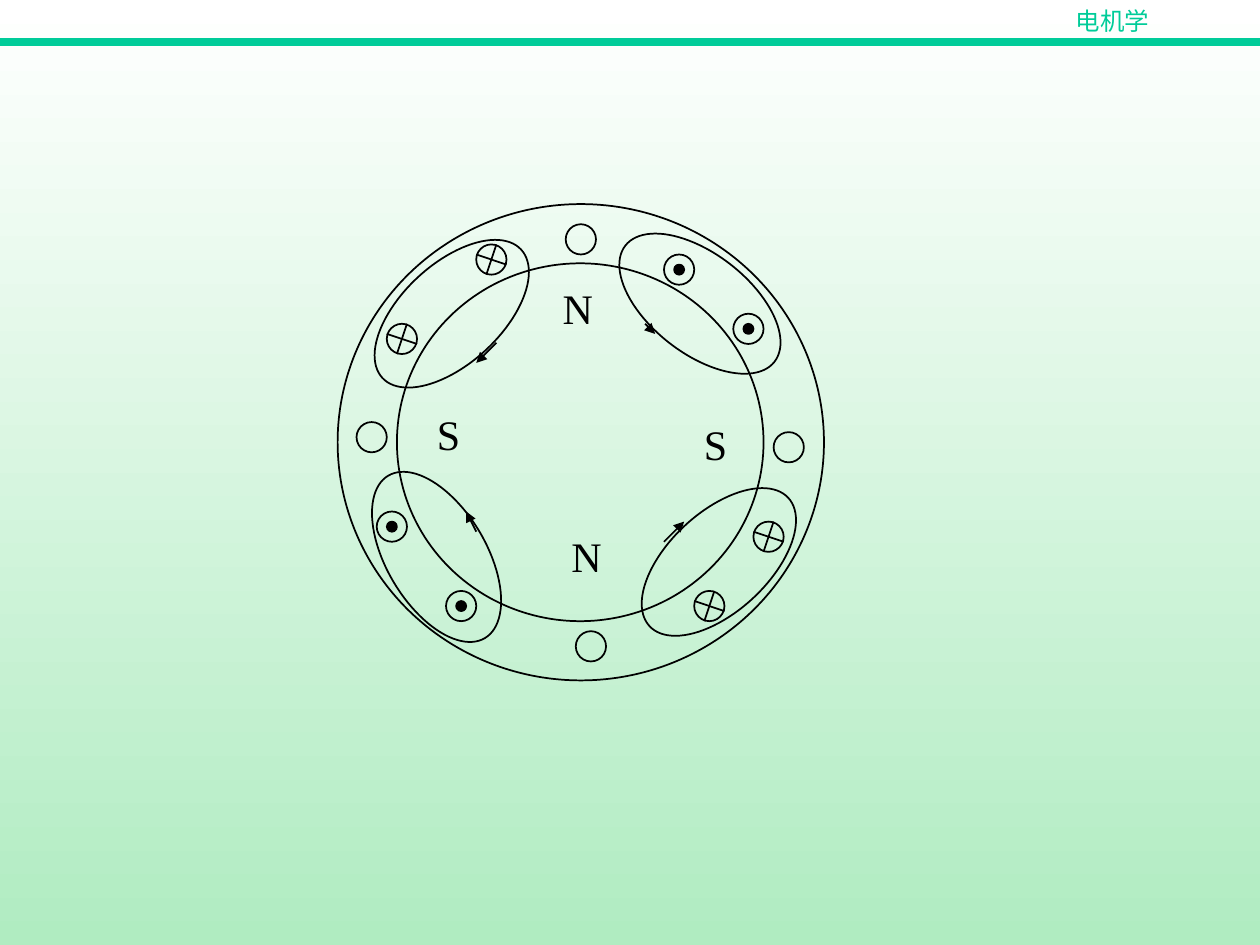
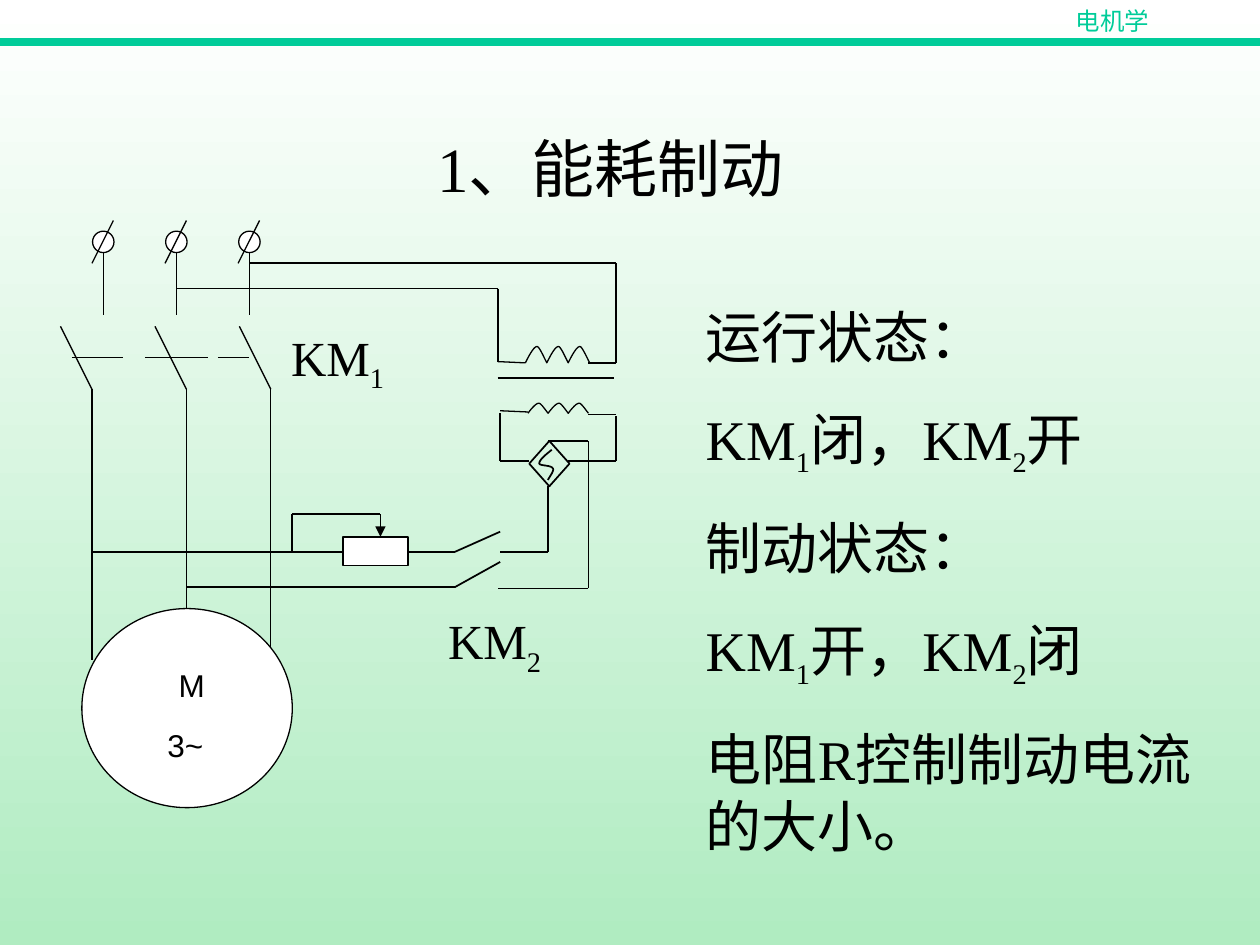
"""Build two electrical machines slides: a four-pole field and a dynamic braking circuit."""
from itertools import pairwise

from lxml.etree import SubElement
from pptx import Presentation
from pptx.dml.color import RGBColor
from pptx.enum.shapes import MSO_CONNECTOR as Connector, MSO_SHAPE as Shape
from pptx.enum.text import MSO_ANCHOR as Anchor, MSO_AUTO_SIZE as AutoSize, PP_ALIGN as Align
from pptx.oxml.ns import qn
from pptx.util import Cm, Pt

COLOURS = {"ink": "000000", "paper": "FFFFFF", "accent": "00CC99", "mint": "B0ECC1"}
SERIF, SANS = "Times New Roman", "Arial"
THIN, MEDIUM, BAND = 0.75, 1, 4.5
CM_PER_UNIT = 2.54
SUBSCRIPT = "-25000"

HEADER = "电机学"
TITLE = "1、能耗制动"
NORMAL, SUB = 32, 28
BODY = [
    [("运行状态：", NORMAL)],
    [("KM", NORMAL), ("1", SUB), ("闭，KM", NORMAL), ("2", SUB), ("开", NORMAL)],
    [("制动状态：", NORMAL)],
    [("KM", NORMAL), ("1", SUB), ("开，KM", NORMAL), ("2", SUB), ("闭", NORMAL)],
    [("电阻R控制制动电流的大小。", NORMAL)],
]

STATOR_RINGS = [(2.68, 1.62, 3.86, 3.78), (3.15, 2.09, 2.91, 2.84)]
SLOT, DOT = 0.24, 0.08
SLOT_CENTRES = {
    "empty": [(4.61, 1.9), (6.26, 3.55), (4.69, 5.13), (2.95, 3.47)],
    "cross": [(3.9, 2.06), (3.19, 2.69), (6.1, 4.26), (5.63, 4.81)],
    "dot": [(5.39, 2.14), (5.94, 2.61), (3.11, 4.18), (3.66, 4.81)],
}
LOOP_SIZE = (0.79, 1.5)
FLUX_LOOPS = [
    ((3.19, 1.74), 47.2, [(3.94, 2.72), (3.78, 2.88)]),
    ((5.31, 3.71), 47.2, [(5.27, 4.3), (5.43, 4.14)]),
    ((3.07, 3.67), 149.2, [(3.78, 4.22), (3.7, 4.06)]),
    ((5.16, 1.66), 127.9, [(5.12, 2.57), (5.2, 2.65)]),
]
POLES = [
    ("N", (3.94, 2.25, 0.79, 0.38)),
    ("N", (4.01, 4.22, 0.79, 0.38)),
    ("S", (2.68, 3.19, 1.26, 0.5)),
    ("S", (4.8, 3.27, 1.26, 0.5)),
]

TERMINAL = 0.17
PHASES = [(0.82, 0.73, 5.24), (1.4, 1.48, 4.99), (1.98, 2.15, 5.16)]
SWITCH_BARS = [(0.57, 0.98), (1.15, 1.65), (1.73, 1.98)]
MOTOR = (0.65, 4.83, 1.67, 1.58)
MOTOR_LABELS = [("M", (1.32, 5.24, 0.67, 0.4)), ("3~", (1.23, 5.71, 0.51, 0.4))]
CONTACTORS = [("1", (1.65, 2.55, 1.56, 0.63)), ("2", (2.85, 4.8, 1.65, 0.63))]
COILS = [(4.17, 2.88, 0.13, 0.17), (4.19, 3.28, 0.08, 0.16)]
COIL_LEADS = [
    [(4.67, 2.88), (4.89, 2.88)], [(4.17, 2.88), (3.95, 2.87)],
    [(4.67, 3.29), (4.89, 3.29)], [(4.19, 3.27), (3.97, 3.26)],
]
HUMP = [(0, 0), (0.06, 0.15), (0.36, 1), (0.54, 1), (0.64, 1), (0.82, 0.46), (1, 0)]
RECTIFIER = (4.2, 3.5, 0.32, 0.36)
RECTIFIER_MARK = [
    (4.38, 3.57), (4.33, 3.61), (4.28, 3.65), (4.28, 3.68), (4.29, 3.7),
    (4.38, 3.69), (4.39, 3.72), (4.4, 3.74), (4.35, 3.8), (4.35, 3.81),
]
RESISTOR = (2.72, 4.26, 0.52, 0.23)
RESISTOR_TAP = [(2.32, 4.38), (2.32, 4.08), (3.02, 4.08), (3.02, 4.26)]
WIRES = [
    [(3.95, 3), (4.87, 3)],
    [(1.98, 2.09), (4.89, 2.09), (4.89, 2.88)],
    [(1.4, 2.29), (3.95, 2.29), (3.95, 2.87)],
    [(3.97, 3.28), (3.97, 3.66), (4.2, 3.66)],
    [(4.51, 3.66), (4.89, 3.66), (4.89, 3.3)],
    [(4.35, 3.5), (4.67, 3.5), (4.67, 4.67), (3.95, 4.67)],
    [(4.35, 3.86), (4.35, 4.38), (3.97, 4.38)],
    [(0.73, 4.38), (3.61, 4.38), (3.97, 4.22)],
    [(1.48, 4.66), (3.61, 4.66), (3.97, 4.46)],
]


def length(units):
    return Cm(units * CM_PER_UNIT)


def colour(name):
    return RGBColor.from_string(COLOURS[name])


def outline(shape, width, fill=None):
    shape.shadow.inherit = False
    shape.line.color.rgb = colour("ink")
    shape.line.width = Pt(width)
    if fill:
        shape.fill.solid()
        shape.fill.fore_color.rgb = colour(fill)
    else:
        shape.fill.background()


def add_outlined(slide, kind, box, width=MEDIUM, fill=None, rotation=0):
    shape = slide.shapes.add_shape(kind, *map(length, box))
    outline(shape, width, fill)
    shape.rotation = rotation


def add_circle(slide, centre, diameter, width=MEDIUM, fill=None):
    x, y = centre
    radius = diameter / 2
    add_outlined(slide, Shape.OVAL, (x - radius, y - radius, diameter, diameter), width, fill)


def add_wire(slide, points, width=MEDIUM, ink="ink", arrow=False):
    for start, end in pairwise(points):
        line = slide.shapes.add_connector(Connector.STRAIGHT, *map(length, start + end))
        line.line.color.rgb = colour(ink)
        line.line.width = Pt(width)
        if arrow and end == points[-1]:
            SubElement(line.line._get_or_add_ln(), qn("a:tailEnd"), type="triangle")
        SubElement(line._element.spPr, qn("a:effectLst"))


def add_curve(slide, points, width, steps=8):
    outline_points = [points[0]]
    for first in range(0, len(points) - 1, 3):
        segment = points[first:first + 4]
        for step in range(1, steps + 1):
            t = step / steps
            weights = ((1 - t) ** 3, 3 * t * (1 - t) ** 2, 3 * t * t * (1 - t), t ** 3)
            outline_points.append(tuple(
                sum(weight * point[axis] for weight, point in zip(weights, segment))
                for axis in (0, 1)))
    vertices = [(length(x), length(y)) for x, y in outline_points]
    builder = slide.shapes.build_freeform(*vertices[0])
    builder.add_line_segments(vertices[1:], close=False)
    outline(builder.convert_to_shape(), width)


def write(shape, paragraphs, font=SERIF, ink="ink", align=Align.LEFT, anchor=Anchor.TOP,
          indent=0.5, space=0, margins=(0.1, 0.05)):
    frame = shape.text_frame
    frame.word_wrap = True
    frame.auto_size = AutoSize.NONE
    frame.vertical_anchor = anchor
    frame.margin_left = frame.margin_right = length(margins[0])
    frame.margin_top = frame.margin_bottom = length(margins[1])
    for index, runs in enumerate(paragraphs):
        paragraph = frame.add_paragraph() if index else frame.paragraphs[0]
        paragraph.alignment = align
        paragraph.space_before = Pt(space if index else 0)
        properties = paragraph._p.get_or_add_pPr()
        properties.set("marL", str(length(indent)))
        properties.set("indent", "0")
        SubElement(properties, qn("a:buNone"))
        for text, size, *baseline in runs:
            run = paragraph.add_run()
            run.text = text
            run.font.size = Pt(size)
            run.font.name = font
            run.font.color.rgb = colour(ink)
            if baseline:
                run._r.get_or_add_rPr().set("baseline", baseline[0])


def add_label(slide, box, runs, **style):
    write(slide.shapes.add_textbox(*map(length, box)), [runs], **style)


def fill_placeholder(shape, box, paragraphs, **style):
    shape.left, shape.top, shape.width, shape.height = map(length, box)
    write(shape, paragraphs, **style)


def set_background(master):
    fill = master.background.fill
    fill.gradient()
    fill.gradient_angle = 270
    for stop, name, position in zip(fill.gradient_stops, ("paper", "mint"), (0, 1)):
        stop.color.rgb = colour(name)
        stop.position = position


def new_slide(presentation, layout_name):
    slide = presentation.slides.add_slide(presentation.slide_layouts.get_by_name(layout_name))
    add_wire(slide, [(0, 0.33), (10, 0.33)], BAND, "accent")
    add_label(slide, (8.08, 0, 1.5, 0.34), [(HEADER, 14)], ink="accent",
              align=Align.CENTER, indent=0)
    return slide


def build_field_slide(presentation):
    slide = new_slide(presentation, "Blank")
    for box in STATOR_RINGS:
        add_outlined(slide, Shape.OVAL, box)
    for kind, centres in SLOT_CENTRES.items():
        for x, y in centres:
            add_circle(slide, (x, y), SLOT)
            if kind == "dot":
                add_circle(slide, (x, y), DOT, fill="ink")
            elif kind == "cross":
                for dx, dy in ((SLOT / 2, SLOT / 6), (-SLOT / 6, SLOT / 2)):
                    add_wire(slide, [(x - dx, y - dy), (x + dx, y + dy)])
    for corner, rotation, direction in FLUX_LOOPS:
        add_outlined(slide, Shape.OVAL, corner + LOOP_SIZE, rotation=rotation)
        add_wire(slide, direction, arrow=True)
    for pole, box in POLES:
        add_label(slide, box, [(pole, 24)], align=Align.CENTER, anchor=Anchor.MIDDLE,
                  margins=(0, 0))


def draw_supply(slide):
    for x, switch_x, end_y in PHASES:
        add_circle(slide, (x, 1.92), TERMINAL, THIN, "paper")
        add_wire(slide, [(x + 0.08, 1.75), (x - 0.09, 2.09)], THIN)
        add_wire(slide, [(x, 2), (x, 2.5)], THIN)
        add_wire(slide, [(switch_x - 0.25, 2.59), (switch_x, 3.09), (switch_x, end_y)], THIN)
    for left, right in SWITCH_BARS:
        add_wire(slide, [(left, 2.84), (right, 2.84)], THIN)
    add_outlined(slide, Shape.OVAL, MOTOR, THIN, "paper")
    for text, box in MOTOR_LABELS:
        add_label(slide, box, [(text, 18)], font=SANS, indent=0)


def draw_braking_circuit(slide):
    for left, base, height, pitch in COILS:
        points = [(left, base)]
        for turn in range(3):
            points += [(left + (turn + x) * pitch, base - y * height) for x, y in HUMP[1:]]
        add_curve(slide, points, THIN)
    for lead in COIL_LEADS:
        add_wire(slide, lead, THIN)
    for points in WIRES:
        add_wire(slide, points)
    add_outlined(slide, Shape.DIAMOND, RECTIFIER)
    add_curve(slide, RECTIFIER_MARK, MEDIUM)
    add_outlined(slide, Shape.RECTANGLE, RESISTOR, fill="paper")
    add_wire(slide, RESISTOR_TAP, arrow=True)
    for number, box in CONTACTORS:
        add_label(slide, box, [("KM", 28), (number, 28, SUBSCRIPT)], align=Align.CENTER)


def build_braking_slide(presentation):
    slide = new_slide(presentation, "Title and Content")
    draw_supply(slide)
    draw_braking_circuit(slide)
    title, body = slide.placeholders
    paragraphs = [[(text, size, SUBSCRIPT) if size == SUB else (text, size)
                   for text, size in runs] for runs in BODY]
    fill_placeholder(body, (5, 2.35, 4.62, 4.52), paragraphs, space=20)
    fill_placeholder(title, (2.54, 0.98, 4.11, 0.7), [[(TITLE, 36)]], align=Align.CENTER)


def main():
    presentation = Presentation()
    presentation.slide_width, presentation.slide_height = Cm(25.4), Cm(19.05)
    set_background(presentation.slide_master)
    build_field_slide(presentation)
    build_braking_slide(presentation)
    presentation.save("out.pptx")


if __name__ == "__main__":
    main()
